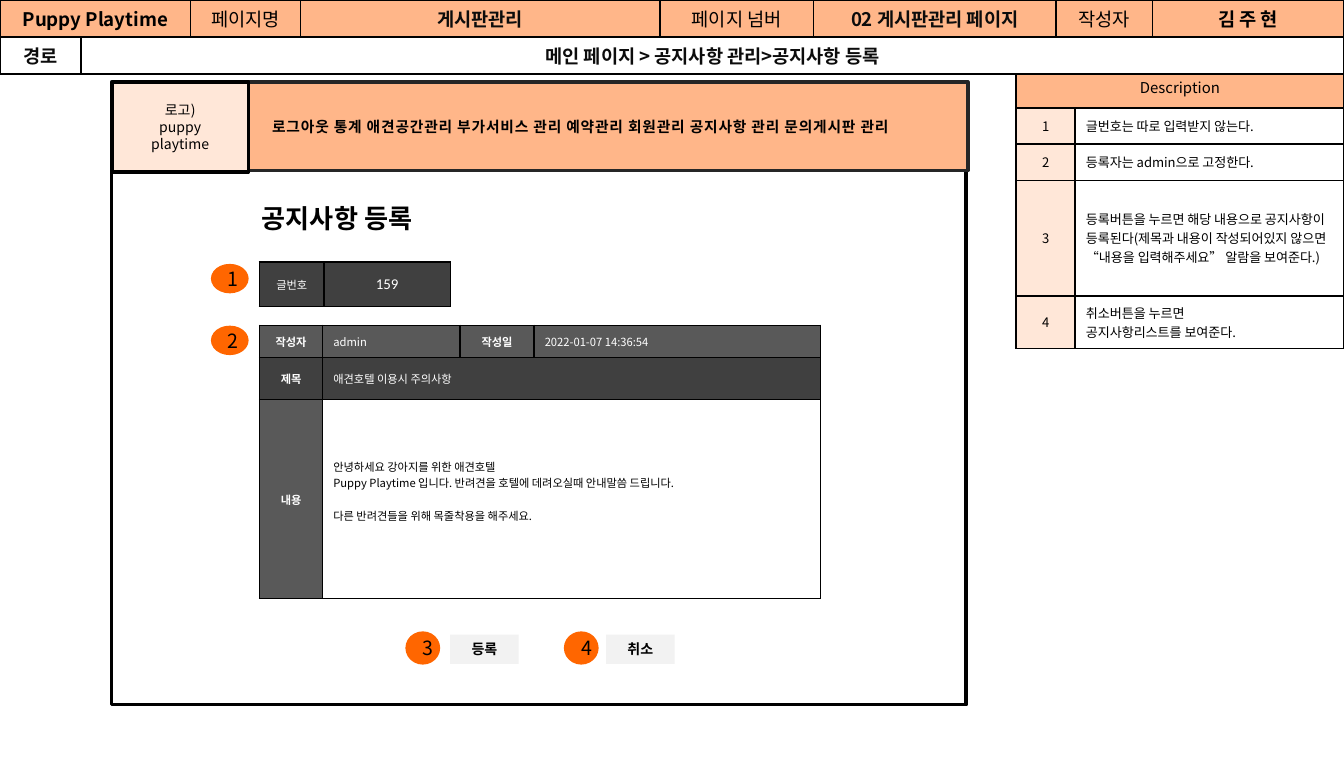
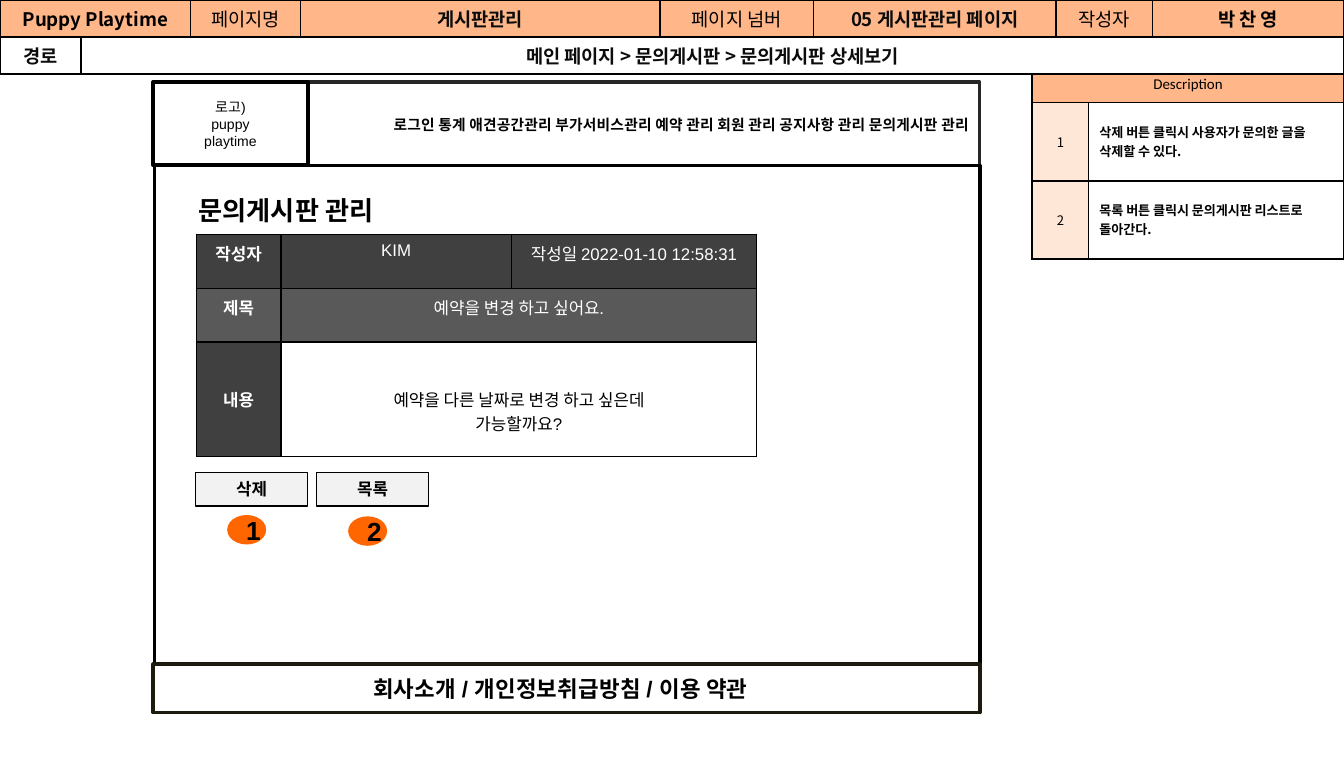
from lxml import etree
from pptx import Presentation
from pptx.dml.color import RGBColor
from pptx.enum.shapes import MSO_SHAPE
from pptx.enum.text import MSO_ANCHOR, PP_ALIGN
from pptx.oxml.ns import qn
from pptx.util import Pt

RECTANGLE, OVAL = MSO_SHAPE.RECTANGLE, MSO_SHAPE.OVAL
LEFT, CENTER, RIGHT = PP_ALIGN.LEFT, PP_ALIGN.CENTER, PP_ALIGN.RIGHT
TOP, MIDDLE = MSO_ANCHOR.TOP, MSO_ANCHOR.MIDDLE

BLACK, INK, WHITE = "000000", "0C0C0C", "FFFFFF"
PEACH, CREAM, ORANGE = "FFB689", "FFE7D8", "FF6600"
DARK, GRAY, PALE = "404040", "595959", "F2F2F2"
EDGE, OLIVE = "262626", "1D1B10"
NOTO, ARIAL, CALIBRI = "Noto Sans CJK KR", "Arial", "Calibri"

SNUG = (5.8, 2.9, 5.8, 2.9)
FLAT = (5.8, 2.2, 5.8, 2.2)
BAND = (6.5, 2.9, 6.5, 2.9)
WIDE = (7.2, 3.6, 7.2, 3.6)
LOGO_TEXT = "로고)\npuppy\nplaytime"


def color(value):
    """Turn a hex string into a colour."""
    return RGBColor.from_string(value)


def write(frame, text, font=NOTO, size=8, ink=BLACK, bold=False, align=CENTER,
          spacing=0, gap_before=None):
    """Fill a text frame, one paragraph for each line of text."""
    for index, line in enumerate(text.split("\n")):
        para = frame.add_paragraph() if index else frame.paragraphs[0]
        para.alignment = align
        if gap_before and gap_before[0] == index:
            para.space_before = Pt(gap_before[1])
        span = para.add_run()
        span.text = line
        span.font.name, span.font.size, span.font.bold = font, Pt(size), bold
        span.font.color.rgb = color(ink)
        properties = span.font._element
        etree.SubElement(properties, qn("a:ea")).set("typeface", NOTO)
        if spacing:
            properties.set("spc", str(spacing))


def set_margins(holder, insets):
    """Set the four insets of a text frame or cell, in points."""
    sides = ("margin_left", "margin_top", "margin_right", "margin_bottom")
    for side, inset in zip(sides, insets):
        setattr(holder, side, Pt(inset))


def add_box(page, box, text="", kind=RECTANGLE, fill=WHITE, line=None, weight=2,
            insets=SNUG, **style):
    """Add a filled preset shape with centred text."""
    shape = page.shapes.add_shape(kind, *map(Pt, box))
    shape.shadow.inherit = False
    shape.fill.solid()
    shape.fill.fore_color.rgb = color(fill)
    if line:
        shape.line.color.rgb = color(line)
        shape.line.width = Pt(weight)
    else:
        shape.line.fill.background()
    if text:
        shape.text_frame.vertical_anchor = MIDDLE
        set_margins(shape.text_frame, insets)
        write(shape.text_frame, text, **style)


def add_title(page, box, text, font):
    """Add the heading of a screen."""
    frame = page.shapes.add_textbox(*map(Pt, box)).text_frame
    frame.word_wrap = False
    write(frame, text, font=font, size=14, bold=True, align=LEFT)


def add_borders(cell, weight):
    """Draw black lines on all sides of a cell."""
    properties = cell._tc.get_or_add_tcPr()
    for side in ("a:lnL", "a:lnR", "a:lnT", "a:lnB"):
        edge = etree.SubElement(properties, qn(side), w=str(Pt(weight)))
        solid = etree.SubElement(edge, qn("a:solidFill"))
        etree.SubElement(solid, qn("a:srgbClr"), val=BLACK)


def add_grid(page, left, top, columns, rows, cells, weight=1, **shared):
    """Add a table; a None cell is joined to the cell on its left."""
    table = page.shapes.add_table(len(rows), len(columns), Pt(left), Pt(top),
                                  Pt(sum(columns)), Pt(sum(rows))).table
    for column, width in zip(table.columns, columns):
        column.width = Pt(width)
    for row, height in zip(table.rows, rows):
        row.height = Pt(height)
    for row, line in enumerate(cells):
        for column, entry in enumerate(line):
            cell = table.cell(row, column)
            add_borders(cell, weight)
            if entry is None:
                continue
            text, own = entry
            style = {**shared, **own}
            cell.fill.solid()
            cell.fill.fore_color.rgb = color(style.pop("fill", WHITE))
            cell.vertical_anchor = style.pop("anchor", MIDDLE)
            set_margins(cell, style.pop("insets", WIDE))
            write(cell.text_frame, text, **style)
            end = column
            while end + 1 < len(line) and line[end + 1] is None:
                end += 1
            if end > column:
                cell.merge(table.cell(row, end))


def add_header(page, number, author, route):
    """Add the two bands at the top of a page."""
    label = {"fill": PEACH, "anchor": TOP}
    strong = {**label, "bold": True}
    first = [("Puppy Playtime", strong), None, ("페이지명", label),
             ("게시판관리", {**strong, "ink": INK}), ("페이지 넘버", label),
             (f"{number} 게시판관리 페이지", {**strong, "ink": INK}),
             ("작성자", label), (author, strong)]
    path_style = {"bold": True, "ink": INK}
    second = [("경로", path_style), (route, path_style)] + [None] * 6
    add_grid(page, 0, 0, [43.4, 58.6, 59, 192.6, 82.2, 129.9, 51.7, 102.6],
             [19.8, 19.8], [first, second], size=10, insets=BAND)


def add_description(page, left, columns, rows, notes, font=NOTO, bold=False):
    """Add the numbered notes on the right of a page."""
    cells = [[("Description", {"fill": PEACH, "size": 8, "font": font}), None]]
    for number, note in enumerate(notes, 1):
        cells.append([(str(number), {"fill": CREAM}),
                      (note, {"align": LEFT, "bold": bold})])
    add_grid(page, left, 34.8, columns, rows, cells, size=7, insets=FLAT)


def add_register_screen(page, left, top):
    """Add the screen on which a notice is registered."""
    add_box(page, (left, top + 45.4, 457.9, 288), line=BLACK)
    menu = "로그아웃 통계 애견공간관리 부가서비스 관리 예약관리 회원관리 공지사항 관리 문의게시판 관리"
    add_box(page, (left + 67, top, 391.7, 47.5), menu, fill=PEACH, line=EDGE,
            insets=(19, 2.9, 5.8, 2.9), size=7.9, bold=True, align=LEFT, spacing=42)
    add_box(page, (left, top, 73.4, 48.2), LOGO_TEXT, fill=CREAM, line=BLACK, size=7.5)

    form_left, form_top = left + 79.2, top + 130.3
    label = {"bold": True, "ink": WHITE, "fill": GRAY}
    value = {"align": LEFT, "ink": WHITE, "fill": GRAY}
    body = ("안녕하세요 강아지를 위한 애견호텔\n"
            "Puppy Playtime 입니다. 반려견을 호텔에 데려오실때 안내말씀 드립니다.\n"
            "다른 반려견들을 위해 목줄착용을 해주세요.")
    body_style = {"align": LEFT, "gap_before": (2, 8.9), "insets": (5.8, 2.9, 5.8, 11.5)}
    cells = [
        [("작성자", label), ("admin", value), ("작성일", label),
         ("2022-01-07 14:36:54", value)],
        [("제목", {**label, "fill": DARK}),
         ("애견호텔 이용시 주의사항", {**value, "fill": DARK, "font": CALIBRI}), None, None],
        [("내용", label), (body, body_style), None, None],
    ]
    add_grid(page, form_left, form_top, [33.8, 73.7, 39.6, 153.4],
             [17.3, 22.5, 106.6], cells, weight=0.75, size=6, insets=SNUG)
    for index, name in enumerate(("등록", "취소")):
        add_box(page, (left + 181.4 + 83.5 * index, top + 295.9, 36.7, 15.8), name,
                fill=PALE, size=7.5, bold=True)
        add_box(page, (left + 158.4 + 84.9 * index, top + 295.2, 16.6, 15.8),
                str(index + 3), kind=OVAL, fill=ORANGE, line=ORANGE, size=10.5)
    add_title(page, (left + 73.4, top + 60.7, 105.8, 23), "공지사항 등록", NOTO)
    add_grid(page, form_left, top + 96.5, [34.6, 67.7], [23.8],
             [[("글번호", {"size": 6}), ("159", {"size": 8})]],
             font=CALIBRI, ink=WHITE, fill=DARK)
    for number, offset in ((1, 97.4), (2, 130.5)):
        add_box(page, (left + 53.2, top + offset, 20.2, 15.8), str(number),
                kind=OVAL, fill=ORANGE, size=10.5)


def add_inquiry_screen(page, left, top):
    """Add the screen that shows one inquiry."""
    menu = "로그인 통계 애견공간관리 부가서비스관리 예약 관리 회원 관리 공지사항 관리 문의게시판 관리"
    add_box(page, (left + 74.1, top, 368.6, 45.4), menu, line=EDGE,
            size=7.9, bold=True, align=RIGHT, spacing=8)
    add_box(page, (left + 0.7, top + 44.7, 442.1, 273.6), line=BLACK)
    add_box(page, (left, top, 82.8, 44.6), LOGO_TEXT, line=BLACK, font=ARIAL, size=7.5)
    add_title(page, (left + 17.3, top + 56.9, 118.1, 23), "문의게시판 관리", CALIBRI)

    form_left = left + 23
    value = {"ink": WHITE, "fill": DARK}
    label = {**value, "bold": True}
    lowered = {"insets": (7.2, 23.9, 7.2, 3.6)}
    cells = [
        [("작성자", label), ("KIM", value), ("작성일 2022-01-10 12:58:31", value)],
        [("제목", {**label, "fill": GRAY}),
         ("예약을 변경 하고 싶어요.", {**value, "fill": GRAY}), None],
        [("내용", {**label, **lowered}),
         ("예약을 다른 날짜로 변경 하고 싶은데\n가능할까요?", lowered), None],
    ]
    add_grid(page, form_left, top + 81.5, [45.4, 123.4, 131.5], [28.9, 28.9, 61.2],
             cells, weight=0.75, font=ARIAL, size=9, anchor=TOP)
    for index, name in enumerate(("삭제", "목록")):
        button_left = form_left + 64.8 * index
        add_box(page, (button_left - 0.3, top + 209, 60, 18), name, fill=PALE, line=BLACK,
                weight=0.75, insets=WIDE, font=ARIAL, size=9, bold=True)
        add_box(page, (button_left + 16.6, top + 231.9 + 0.7 * index, 20.9, 15.8),
                str(index + 1), kind=OVAL, fill=ORANGE, insets=WIDE,
                font=ARIAL, size=14, bold=True)
    add_box(page, (left, top + 311.8, 442.8, 25.9), "회사소개 / 개인정보취급방침 / 이용 약관",
            line=OLIVE, insets=(7.2, 3.6, 13.6, 3.6), font=ARIAL, size=12, bold=True,
            spacing=10)


def build():
    """Build and save both pages."""
    deck = Presentation()
    deck.slide_width, deck.slide_height = Pt(720), Pt(405.38)
    blank = deck.slide_layouts[6]

    page = deck.slides.add_slide(blank)
    add_description(page, 544.3, [31.7, 144], [23, 19.4, 19.4, 61.9, 28.1], [
        "글번호는 따로 입력받지 않는다.",
        "등록자는 admin으로 고정한다.",
        "등록버튼을 누르면 해당 내용으로 공지사항이 등록된다(제목과 내용이 "
        "작성되어있지 않으면 “내용을 입력해주세요” 알람을 보여준다.)",
        "취소버튼을 누르면\n공지사항리스트를 보여준다.",
    ])
    add_register_screen(page, 59.8, 43.9)
    add_header(page, "02", "김 주 현", "메인 페이지 > 공지사항 관리>공지사항 등록")

    page = deck.slides.add_slide(blank)
    add_description(page, 553, [30.2, 136.8], [20.2, 41.8, 41.8], [
        "삭제 버튼 클릭시 사용자가 문의한 글을 삭제할 수 있다.",
        "목록 버튼 클릭시 문의게시판 리스트로 돌아간다.",
    ], font=CALIBRI, bold=True)
    add_inquiry_screen(page, 82.1, 43.9)
    add_header(page, "05", "박 찬 영", "메인 페이지 > 문의게시판 > 문의게시판 상세보기")

    deck.save("out.pptx")


build()
